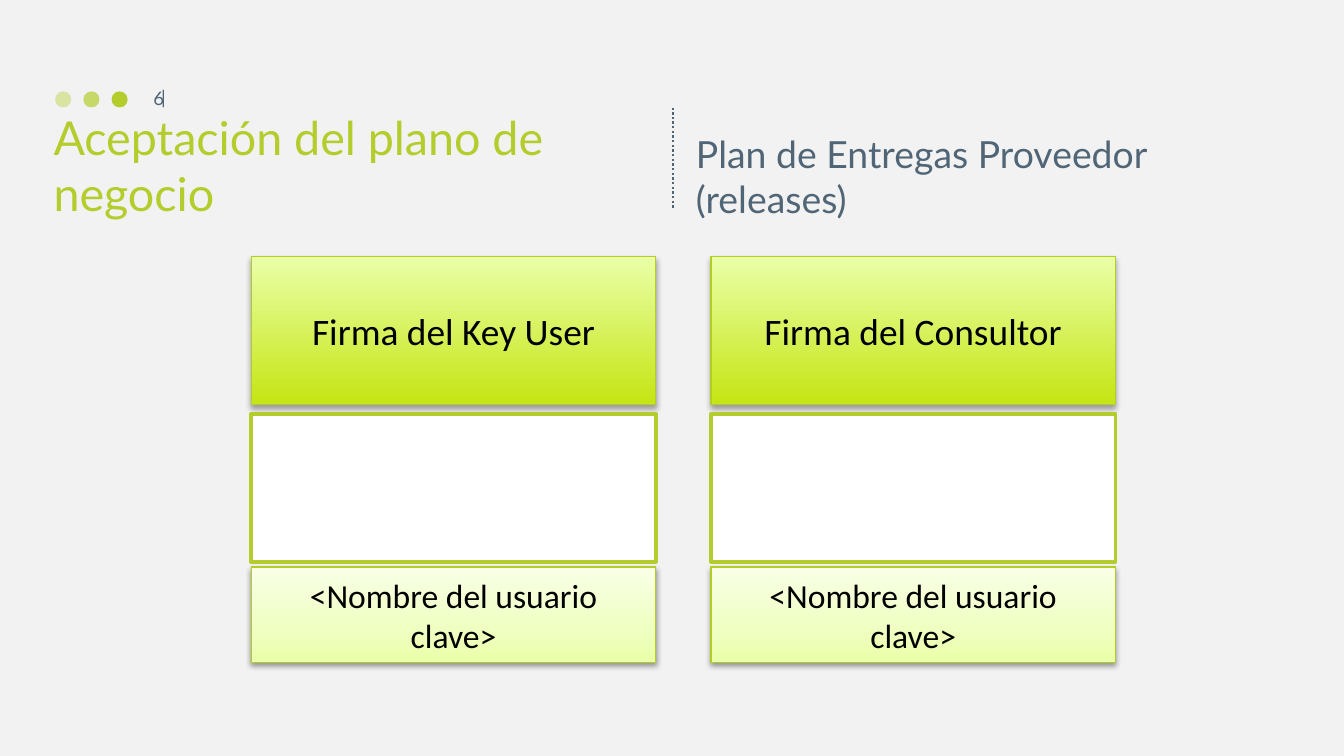
from dataclasses import dataclass

from lxml import etree
from pptx import Presentation
from pptx.dml.color import RGBColor
from pptx.enum.dml import MSO_LINE
from pptx.enum.shapes import MSO_CONNECTOR, MSO_SHAPE
from pptx.enum.text import MSO_ANCHOR, PP_ALIGN
from pptx.oxml.ns import qn
from pptx.util import Inches, Pt

LEFT, CENTER, RIGHT = PP_ALIGN.LEFT, PP_ALIGN.CENTER, PP_ALIGN.RIGHT
TOP, MIDDLE, BOTTOM = MSO_ANCHOR.TOP, MSO_ANCHOR.MIDDLE, MSO_ANCHOR.BOTTOM
RECTANGLE, OVAL = MSO_SHAPE.RECTANGLE, MSO_SHAPE.OVAL


@dataclass(frozen=True)
class Theme:
    background: str = "F2F2F2"
    green: str = "B4CD2C"
    border: str = "B3CC27"
    slate: str = "506576"
    white: str = "FFFFFF"
    black: str = "000000"
    strong_gradient: tuple = ((0, "C5E514"), (100, "EAFFA7"))
    soft_gradient: tuple = ((0, "EAFFA7"), (35, "EFFFC1"), (100, "F9FFE7"))
    heading_font: str = "Lato"
    body_font: str = "Calibri"
    title_size: int = 25
    heading_size: int = 20
    name_size: int = 18
    number_size: int = 10


THEME = Theme()


def color(value):
    return RGBColor.from_string(value)


def add_alpha(color_element, percent):
    if percent < 100:
        etree.SubElement(color_element, qn("a:alpha"), val=str(percent * 1000))


def add_color(parent, value, alpha=100):
    add_alpha(etree.SubElement(parent, qn("a:srgbClr"), val=value), alpha)


def write_text(shape, text, size, font, text_color, align=LEFT, anchor=MIDDLE):
    frame = shape.text_frame
    frame.word_wrap = True
    frame.vertical_anchor = anchor
    frame.text = text
    paragraph = frame.paragraphs[0]
    paragraph.alignment = align
    run_font = paragraph.runs[0].font
    run_font.size, run_font.name = Pt(size), font
    run_font.color.rgb = color(text_color)


def add_label(slide, box, *text_style):
    label = slide.shapes.add_textbox(*map(Inches, box))
    write_text(label, *text_style)
    return label


def add_plain_shape(slide, kind, box, fill, alpha=100):
    shape = slide.shapes.add_shape(kind, *map(Inches, box))
    shape.shadow.inherit = False
    shape.fill.solid()
    shape.fill.fore_color.rgb = color(fill)
    add_alpha(shape._element.spPr.find(qn("a:solidFill"))[0], alpha)
    shape.line.fill.background()
    return shape


def outline(shape, line_color, width):
    shape.line.color.rgb = color(line_color)
    shape.line.width = Pt(width)


def add_gradient_card(slide, box, stops, text, size, shadow_alpha, shadow_distance):
    """Add a captioned rectangle with a bottom-to-top gradient and a soft shadow."""
    card = add_plain_shape(slide, RECTANGLE, box, THEME.white)
    card.fill.gradient()
    card.fill.gradient_angle = 90
    properties = card._element.spPr
    stop_list = properties.find(qn("a:gradFill")).find(qn("a:gsLst"))
    for stop in list(stop_list):
        stop_list.remove(stop)
    for position, value in stops:
        stop = etree.SubElement(stop_list, qn("a:gs"), pos=str(position * 1000))
        add_color(stop, value)
    shadow = etree.SubElement(
        properties.find(qn("a:effectLst")), qn("a:outerShdw"),
        blurRad=str(Pt(3.1)), dist=str(Pt(shadow_distance)),
        dir="5400000", rotWithShape="0")
    add_color(shadow, THEME.black, shadow_alpha)
    outline(card, THEME.border, 0.75)
    write_text(card, text, size, THEME.body_font, THEME.black, CENTER)


def add_page_marker(slide, left, top, number):
    """Add three fading dots, the page number and its bar."""
    for index, alpha in enumerate((40, 70, 100)):
        box = (left + index * 0.21, top, 0.12, 0.12)
        add_plain_shape(slide, OVAL, box, THEME.green, alpha)
    style = THEME.number_size, THEME.heading_font, THEME.slate
    bar = add_label(slide, (left + 0.79, top - 0.02, 0.06, 0.15),
                    "|", *style, LEFT, TOP)
    bar.text_frame.word_wrap = False
    bar.text_frame.margin_bottom = 0
    bar.text_frame.paragraphs[0].line_spacing = 0.5
    add_label(slide, (left + 0.45, top - 0.1, 0.46, 0.3), number, *style, RIGHT)


def add_header(slide, left, top, height, title, subtitle):
    add_label(slide, (left, top, 4.59, height), title, THEME.title_size,
              THEME.heading_font, THEME.green, LEFT, BOTTOM)
    add_label(slide, (left + 4.78, top, 4.42, height), subtitle, THEME.heading_size,
              THEME.heading_font, THEME.slate, LEFT, BOTTOM)
    x = Inches(left + 4.71)
    divider = slide.shapes.add_connector(
        MSO_CONNECTOR.STRAIGHT, x, Inches(top + 0.05), x, Inches(top + 0.8))
    outline(divider, THEME.slate, 1.25)
    divider.line.dash_style = MSO_LINE.ROUND_DOT
    etree.SubElement(divider._element.spPr, qn("a:effectLst"))


def add_signature_column(slide, left, top, width, heading, name):
    add_gradient_card(slide, (left, top, width, 1.1), THEME.strong_gradient,
                      heading, THEME.heading_size, 35, 1.8)
    signature = add_plain_shape(slide, RECTANGLE, (left, top + 1.17, width, 1.1),
                                THEME.white)
    outline(signature, THEME.green, 2)
    add_gradient_card(slide, (left, top + 2.31, width, 0.71), THEME.soft_gradient,
                      name, THEME.name_size, 38, 1.6)


def main():
    presentation = Presentation()
    presentation.slide_width = Inches(10)
    presentation.slide_height = Inches(10 * 9 / 16)
    slide = presentation.slides.add_slide(presentation.slide_layouts[6])
    slide.background.fill.solid()
    slide.background.fill.fore_color.rgb = color(THEME.background)

    add_page_marker(slide, 0.41, 0.68, "6")
    add_header(slide, 0.3, 0.75, 0.94, "Aceptación del plano de negocio",
               "Plan de Entregas Proveedor (releases)")
    for index, heading in enumerate(("Firma del Key User", "Firma del Consultor")):
        add_signature_column(slide, 1.87 + index * 3.42, 1.91, 3.01, heading,
                             "<Nombre del usuario clave>")
    presentation.save("out.pptx")


if __name__ == "__main__":
    main()
